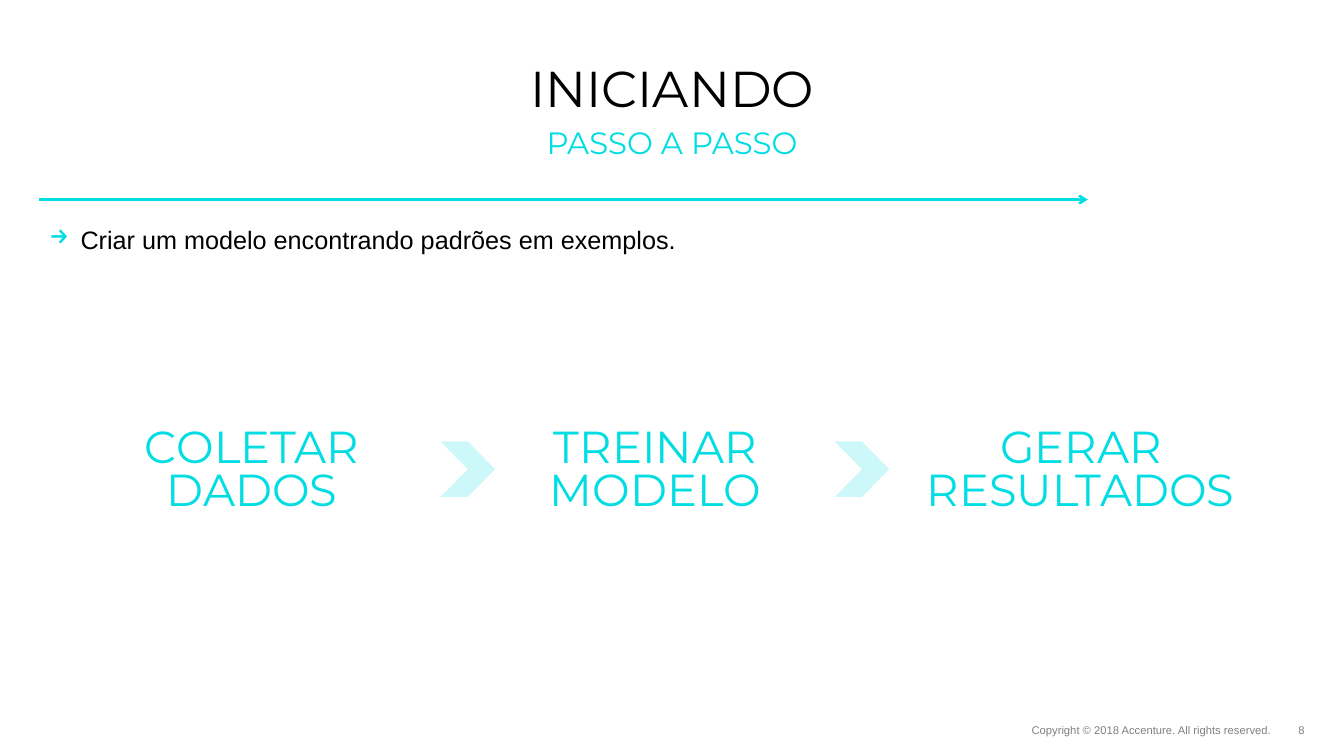
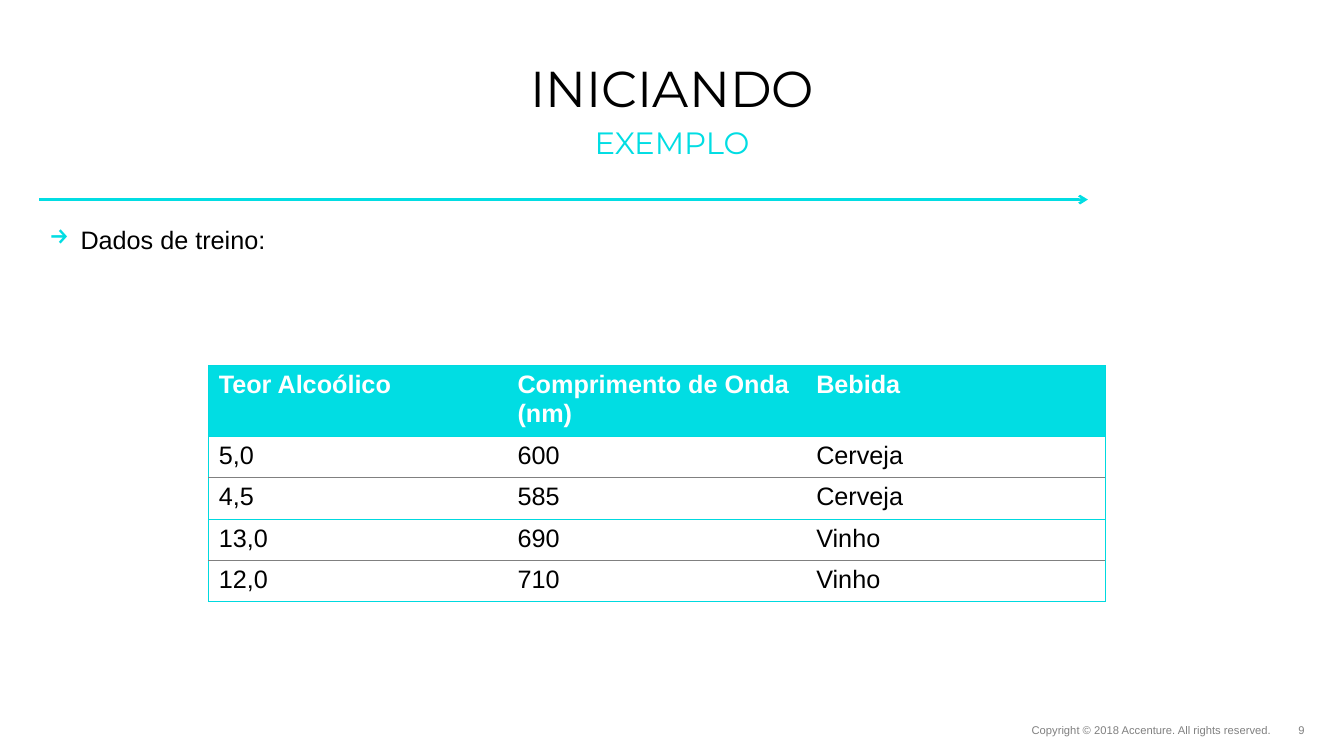
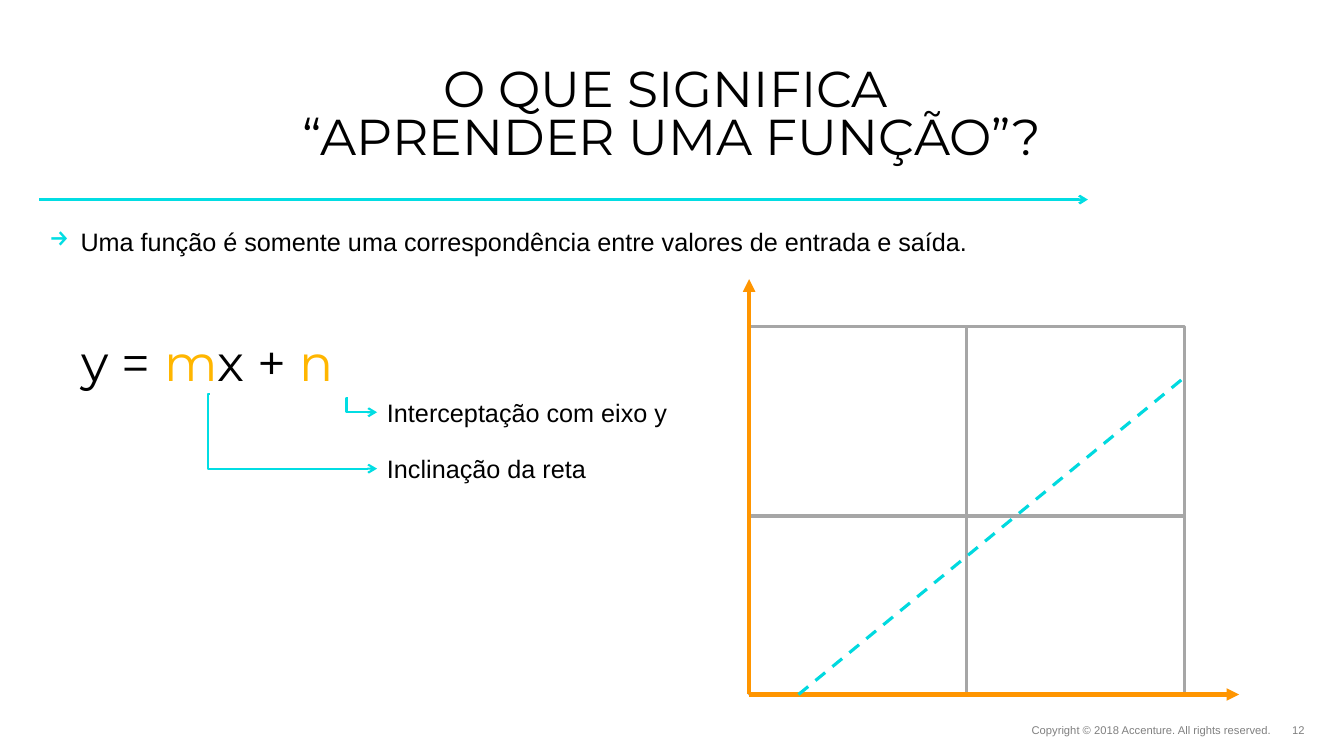
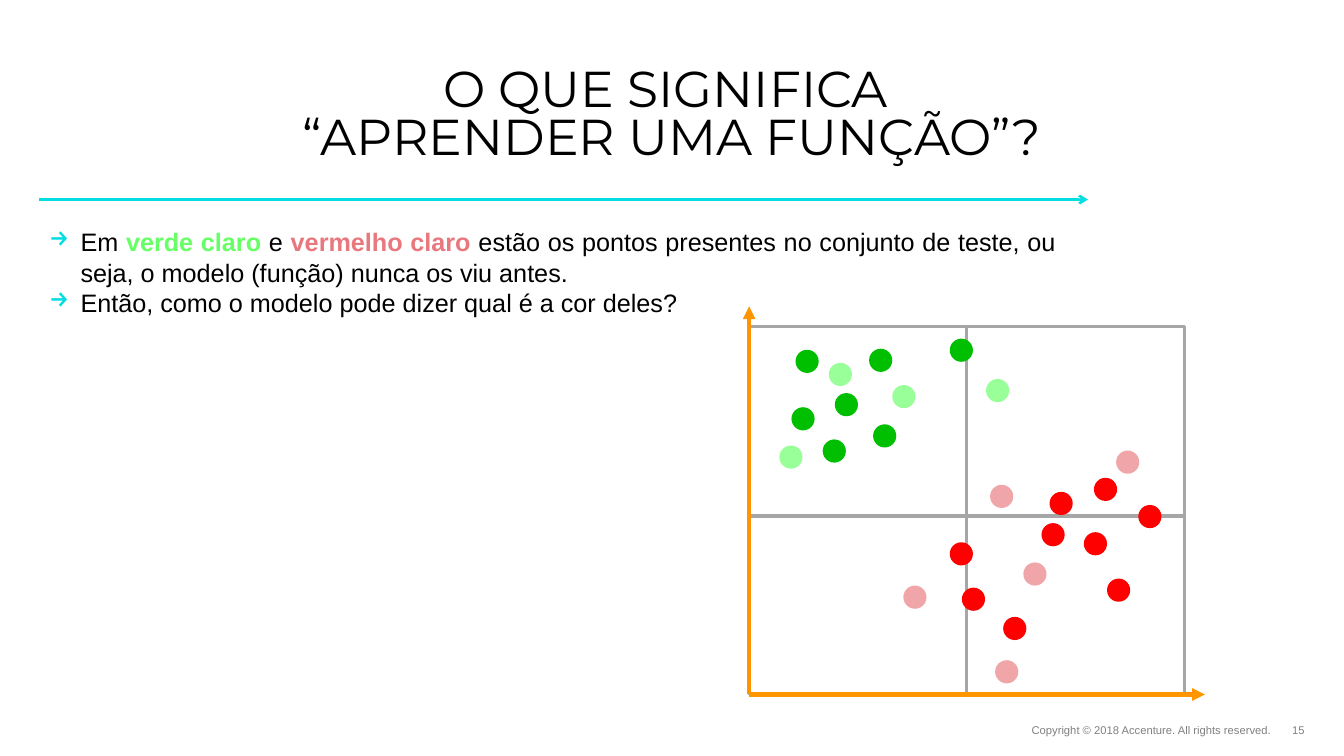
import pptx
import pptx.util
import pptx.dml.color
import pptx.enum.dml
import pptx.enum.shapes
import pptx.enum.text
import pptx.oxml.ns
from lxml import etree

Inches = pptx.util.Inches
Pt = pptx.util.Pt
qn = pptx.oxml.ns.qn
ALIGN = pptx.enum.text.PP_ALIGN
ANCHOR = pptx.enum.text.MSO_ANCHOR
SHAPE = pptx.enum.shapes.MSO_SHAPE
CONNECTOR = pptx.enum.shapes.MSO_CONNECTOR

COLORS = {
    "black": "000000", "white": "FFFFFF", "cyan": "01DDE3", "teal": "00D9DF",
    "grid": "A6A6A6", "rule": "808080", "axis": "FF9500", "coefficient": "FFB600",
    "green": "00BF00", "light green": "99FF99", "green text": "66FF66",
    "red": "FF0000", "light red": "F0A5A9", "red text": "E8787E",
}
TITLE_FONT = "Montserrat"
BODY_FONT = "Arial"
MARGIN = 0.39
CONTENT_WIDTH = 12.55
FUNCTION_TITLE = "O QUE SIGNIFICA \n“APRENDER UMA FUNÇÃO”?"

# Plot area: left, top, width, height
PLOT = (7.43, 3.24, 4.32, 3.65)
DOT_SIZE = 0.23
DOTS = {
    "green": [(9.42, 3.36), (8.62, 3.46), (7.85, 4.04), (8.66, 4.21),
              (7.89, 3.47), (8.28, 3.9), (8.16, 4.36)],
    "red": [(10.98, 5.74), (10.85, 4.74), (10.41, 4.88), (10.75, 5.28), (10.33, 5.19),
            (11.29, 5.01), (9.42, 5.38), (9.95, 6.12), (9.54, 5.83)],
    "light green": [(8.22, 3.6), (9.78, 3.76), (7.73, 4.42), (8.85, 3.82)],
    "light red": [(11.07, 4.47), (10.15, 5.58), (9.87, 6.55), (9.82, 4.81), (8.96, 5.81)],
}
TRAINING_DATA = [
    ("Teor Alcoólico", "Comprimento de Onda (nm)", "Bebida"),
    ("5,0", "600", "Cerveja"),
    ("4,5", "585", "Cerveja"),
    ("13,0", "690", "Vinho"),
    ("12,0", "710", "Vinho"),
]


def rgb(name):
    return pptx.dml.color.RGBColor.from_string(COLORS[name])


def set_opacity(shape, percent):
    for color in shape._element.iter(qn("a:srgbClr")):
        etree.SubElement(color, qn("a:alpha"), val=str(percent * 1000))


# Text
def write_paragraph(paragraph, content, size, color, font=BODY_FONT, bold=False):
    """Content is a string, or a list of (text, color, bold) runs."""
    if isinstance(content, str):
        paragraph.text = content
        styles = [(color, bold)] * len(paragraph.runs)
    else:
        for text, _, _ in content:
            paragraph.add_run().text = text
        styles = [(run_color, run_bold) for _, run_color, run_bold in content]
    for run, (run_color, run_bold) in zip(paragraph.runs, styles):
        run.font.name = font
        run.font.size = Pt(size)
        run.font.bold = run_bold
        run.font.color.rgb = rgb(run_color)


def add_text(slide, at, content, size, color="black", font=BODY_FONT, align=ALIGN.LEFT,
             anchor=ANCHOR.TOP, insets=(0.1, 0.05, 0.1, 0.05), spacing=None):
    box = slide.shapes.add_textbox(*map(Inches, at))
    frame = box.text_frame
    frame.word_wrap = True
    frame.vertical_anchor = anchor
    (frame.margin_left, frame.margin_top,
     frame.margin_right, frame.margin_bottom) = map(Inches, insets)
    paragraph = frame.paragraphs[0]
    paragraph.alignment = align
    paragraph.line_spacing = spacing
    write_paragraph(paragraph, content, size, color, font)
    return box


def add_bullets(slide, at, items, align=ALIGN.LEFT):
    box = slide.shapes.add_textbox(*map(Inches, at))
    frame = box.text_frame
    frame.word_wrap = True
    for index, item in enumerate(items):
        paragraph = frame.add_paragraph() if index else frame.paragraphs[0]
        paragraph.alignment = align
        properties = paragraph._p.get_or_add_pPr()
        properties.set("marL", str(Inches(0.31)))
        properties.set("indent", str(-Inches(0.31)))
        bullet_color = etree.SubElement(properties, qn("a:buClr"))
        etree.SubElement(bullet_color, qn("a:srgbClr"), val=COLORS["cyan"])
        etree.SubElement(properties, qn("a:buChar"), char="→")
        write_paragraph(paragraph, item, 18, "black")


# Lines and shapes
def add_line(slide, start, end, color, width, head=None, kind=CONNECTOR.STRAIGHT):
    connector = slide.shapes.add_connector(kind, *map(Inches, start + end))
    connector.line.color.rgb = rgb(color)
    connector.line.width = Pt(width)
    if head:
        etree.SubElement(connector.line._get_or_add_ln(), qn("a:tailEnd"), type=head)
    etree.SubElement(connector._element.spPr, qn("a:effectLst"))
    return connector


def add_elbow(slide, start, end):
    """Arrow that drops first and then runs to the right."""
    connector = add_line(slide, start, end, "cyan", 1.5, "arrow", CONNECTOR.ELBOW)
    geometry = connector._element.spPr.find(qn("a:prstGeom"))
    adjustments = geometry.find(qn("a:avLst"))
    if adjustments is None:
        adjustments = etree.SubElement(geometry, qn("a:avLst"))
    etree.SubElement(adjustments, qn("a:gd"), name="adj1", fmla="val -1000")


def add_filled_shape(slide, kind, at, color):
    shape = slide.shapes.add_shape(kind, *map(Inches, at))
    shape.shadow.inherit = False
    shape.fill.solid()
    shape.fill.fore_color.rgb = rgb(color)
    shape.line.fill.background()
    return shape


def add_plot(slide, axis_right, axis_top):
    left, top, width, height = PLOT
    bottom = top + height
    frame = slide.shapes.add_shape(SHAPE.RECTANGLE, *map(Inches, PLOT))
    frame.shadow.inherit = False
    frame.fill.background()
    frame.line.color.rgb = rgb("grid")
    frame.line.width = Pt(2.25)
    middle = left + width / 2
    vertical = add_line(slide, (middle, bottom), (middle, top), "grid", 2.25)
    vertical.begin_connect(frame, 2)
    vertical.end_connect(frame, 0)
    add_line(slide, (left, 5.12), (left + width, 5.12), "grid", 2.25)
    add_line(slide, (left, bottom), (axis_right, bottom), "axis", 3, "triangle")
    add_line(slide, (left, bottom), (left, axis_top), "axis", 3, "triangle")


# Table
def set_borders(cell, borders):
    """Borders maps each side (L, R, T, B) to a colour name or None."""
    properties = cell._tc.get_or_add_tcPr()
    for index, side in enumerate("LRTB"):
        line = etree.Element(qn("a:ln" + side), w=str(Pt(0.75)))
        if borders[side]:
            fill = etree.SubElement(line, qn("a:solidFill"))
            etree.SubElement(fill, qn("a:srgbClr"), val=COLORS[borders[side]])
        else:
            etree.SubElement(line, qn("a:noFill"))
        properties.insert(index, line)


def add_data_table(slide, at, rows, header_height, row_height):
    last_column = len(rows[0]) - 1
    table = slide.shapes.add_table(len(rows), len(rows[0]), *map(Inches, at)).table
    table.first_row = False
    table.horz_banding = False
    # Horizontal rules from top to bottom, one more than the rows
    rules = ["teal", "teal", "rule", "teal", "rule", "teal"]
    for row_index, row in enumerate(rows):
        header = row_index == 0
        table.rows[row_index].height = Inches(header_height if header else row_height)
        for column_index, text in enumerate(row):
            cell = table.cell(row_index, column_index)
            cell.fill.solid()
            cell.fill.fore_color.rgb = rgb("cyan" if header else "white")
            write_paragraph(cell.text_frame.paragraphs[0], text, 18,
                            "white" if header else "black", bold=header)
            set_borders(cell, {
                "L": "teal" if column_index == 0 else None,
                "R": "teal" if column_index == last_column else None,
                "T": rules[row_index],
                "B": rules[row_index + 1],
            })


# Parts shared by all slides
def add_base_slide(presentation, title, number, subtitle=None):
    slide = presentation.slides.add_slide(presentation.slide_layouts[6])
    add_text(slide, (MARGIN, 0.61, CONTENT_WIDTH, 0.59), title, 36, font=TITLE_FONT,
             align=ALIGN.CENTER, insets=(0, 0.07, 0, 0), spacing=0.8)
    if subtitle:
        add_text(slide, (MARGIN, 1.23, CONTENT_WIDTH, 0.45), subtitle, 22, "cyan",
                 TITLE_FONT, ALIGN.CENTER, insets=(0, 0, 0, 0))
    footers = [(8.08, 4.53, "Copyright © 2018 Accenture. All rights reserved."),
               (12.7, 0.24, str(number))]
    for left, width, text in footers:
        footer = add_text(slide, (left, 7.15, width, 0.18), text, 8, align=ALIGN.RIGHT,
                          anchor=ANCHOR.MIDDLE, insets=(0, 0.07, 0, 0.07))
        set_opacity(footer, 50)
    add_line(slide, (MARGIN, 1.98), (10.79, 1.98), "cyan", 1.75, "arrow")
    return slide


# Slides
def build_steps(presentation):
    slide = add_base_slide(presentation, "INICIANDO", 8, "PASSO A PASSO")
    add_bullets(slide, (MARGIN, 2.18, 7.02, 0.4),
                ["Criar um modelo encontrando padrões em exemplos."])
    for left in (4.37, 8.28):
        chevron = add_filled_shape(slide, SHAPE.CHEVRON, (left, 4.38, 0.54, 0.55), "cyan")
        set_opacity(chevron, 20)
    steps = [(0.9, 3.2, "COLETAR DADOS"), (4.9, 3.2, "TREINAR MODELO"),
             (9.01, 3.42, "GERAR RESULTADOS")]
    for left, width, step in steps:
        add_text(slide, (left, 4.21, width, 0.9), step, 32, "cyan", TITLE_FONT,
                 ALIGN.CENTER, ANCHOR.BOTTOM, (0, 0, 0, 0), 0.8)


def build_example(presentation):
    slide = add_base_slide(presentation, "INICIANDO", 9, "EXEMPLO")
    add_bullets(slide, (MARGIN, 2.18, 7.02, 0.4), ["Dados de treino:"])
    add_data_table(slide, (2.07, 3.63, 8.89, 2.34), TRAINING_DATA, 0.7, 0.41)


def build_line_function(presentation):
    slide = add_base_slide(presentation, FUNCTION_TITLE, 12)
    add_bullets(slide, (MARGIN, 2.2, 10.18, 0.4),
                ["Uma função é somente uma correspondência entre valores de entrada e saída."],
                ALIGN.JUSTIFY)
    formula = [("y = ", "black", False), ("m", "coefficient", False),
               ("x + ", "black", False), ("n", "coefficient", False)]
    add_text(slide, (0.71, 3.24, 3.03, 0.71), formula, 36, font=TITLE_FONT)
    labels = [((3.44, 3.95), 4.09, "Interceptação com eixo y"),
              ((2.08, 3.91), 4.65, "Inclinação da reta")]
    for start, middle, label in labels:
        add_elbow(slide, start, (3.74, middle))
        add_text(slide, (3.74, middle - 0.2, 3.1, 0.4), label, 18)
    add_plot(slide, 12.29, 2.77)
    fitted_line = add_line(slide, (7.92, 6.89), (11.74, 3.75), "teal", 2.25)
    fitted_line.line.dash_style = pptx.enum.dml.MSO_LINE.DASH


def build_test_points(presentation):
    slide = add_base_slide(presentation, FUNCTION_TITLE, 15)
    explanation = [
        ("Em ", "black", False), ("verde claro ", "green text", True),
        ("e ", "black", False), ("vermelho claro ", "red text", True),
        ("estão os pontos presentes no conjunto de teste, ou seja, "
         "o modelo (função) nunca os viu antes.", "black", False),
    ]
    add_bullets(slide, (MARGIN, 2.2, 10.18, 1.01),
                [explanation, "Então, como o modelo pode dizer qual é a cor deles?"],
                ALIGN.JUSTIFY)
    add_plot(slide, 11.95, 3.04)
    for color, positions in DOTS.items():
        for left, top in positions:
            add_filled_shape(slide, SHAPE.OVAL, (left, top, DOT_SIZE, DOT_SIZE), color)


def main():
    presentation = pptx.Presentation()
    presentation.slide_width = Inches(13.33)
    presentation.slide_height = Inches(7.5)
    build_steps(presentation)
    build_example(presentation)
    build_line_function(presentation)
    build_test_points(presentation)
    presentation.save("out.pptx")


if __name__ == "__main__":
    main()
